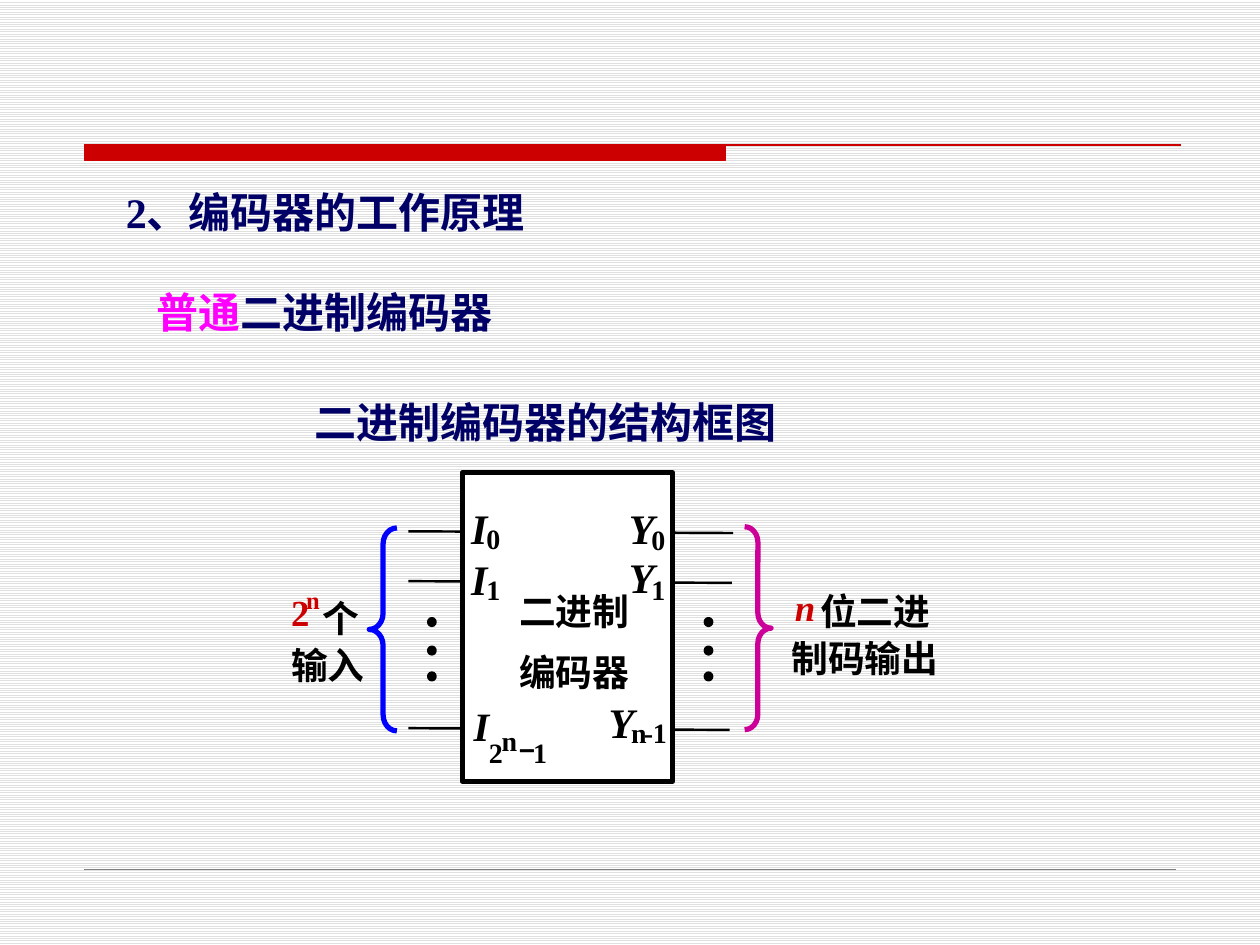
from dataclasses import dataclass

from lxml.etree import SubElement
from pptx import Presentation
from pptx.dml.color import RGBColor
from pptx.enum.dml import MSO_PATTERN
from pptx.enum.shapes import MSO_CONNECTOR, MSO_SHAPE
from pptx.oxml.ns import qn
from pptx.util import Pt


@dataclass(frozen=True)
class Theme:
    latin: str = "Times New Roman"
    cjk: str = "Noto Sans CJK SC"
    sans: str = "Arial"
    navy: str = "000066"
    magenta: str = "FF00FF"
    red: str = "CC0000"
    black: str = "000000"
    white: str = "FFFFFF"
    stripe: str = "E0E0E0"
    grey: str = "808080"
    blue: str = "0000FF"
    purple: str = "CC0099"
    heading: int = 24
    symbol: int = 24
    last_input: int = 23
    caption: int = 21
    subscript: int = 16
    exponent: int = 14
    leading: float = 1.2
    cjk_drop: float = 0.1


def add_run(paragraph, text, *, font, size, color, cjk, italic=False):
    run = paragraph.add_run()
    run.text = text
    run.font.name, run.font.size = font, Pt(size)
    run.font.bold, run.font.italic = True, italic
    run.font.color.rgb = RGBColor.from_string(color)
    SubElement(run.font._element, qn("a:ea")).set("typeface", cjk)


class Board:
    """Holds the theme and the current slide."""

    def __init__(self, slide, theme):
        self.slide, self.theme = slide, theme

    def background(self):
        fill = self.slide.background.fill
        fill.patterned()
        fill.pattern = MSO_PATTERN.LIGHT_HORIZONTAL
        fill.fore_color.rgb = RGBColor.from_string(self.theme.stripe)
        fill.back_color.rgb = RGBColor.from_string(self.theme.white)

    def shape(self, kind, left, top, width, height, *, fill=None, line, weight):
        shape = self.slide.shapes.add_shape(
            kind, Pt(left), Pt(top), Pt(width), Pt(height))
        shape.shadow.inherit = False
        if fill:
            shape.fill.solid()
            shape.fill.fore_color.rgb = RGBColor.from_string(fill)
        else:
            shape.fill.background()
        shape.line.color.rgb = RGBColor.from_string(line)
        shape.line.width = Pt(weight)
        return shape

    def line(self, x1, y1, x2, y2, *, color, weight):
        line = self.slide.shapes.add_connector(
            MSO_CONNECTOR.STRAIGHT, Pt(x1), Pt(y1), Pt(x2), Pt(y2))
        line.line.color.rgb = RGBColor.from_string(color)
        line.line.width = Pt(weight)
        SubElement(line._element.spPr, qn("a:effectLst"))

    def brace(self, kind, left, top, width, color):
        brace = self.shape(kind, left, top, width, 116, line=color, weight=3)
        brace.adjustments[0] = 0.58

    def text(self, left, top, width, parts, *, size, font=None, italic=False,
             inset=(0, 0), wrap=False):
        """Parts are (text, colour) pairs set on one line."""
        theme = self.theme
        font = font or theme.cjk
        side, edge = inset
        has_cjk = any(ord(char) > 0x3000 for text, _ in parts for char in text)
        height = size * theme.leading + 2 * edge
        frame = self.slide.shapes.add_textbox(
            Pt(left), Pt(top), Pt(width), Pt(height)).text_frame
        frame.word_wrap = wrap
        frame.margin_left = frame.margin_right = Pt(side)
        frame.margin_top = Pt(edge + (size * theme.cjk_drop if has_cjk else 0))
        frame.margin_bottom = Pt(0)
        paragraph = frame.paragraphs[0]
        if has_cjk:
            paragraph.line_spacing = Pt(size * theme.leading)
        for text, color in parts:
            add_run(paragraph, text, font=font, size=size, color=color,
                    cjk=theme.cjk, italic=italic)

    def heading(self, left, top, width, parts, **style):
        self.text(left, top, width, parts, size=self.theme.heading,
                  inset=(7.2, 3.6), **style)

    def label(self, left, top, width, text, size, color=None, **style):
        self.text(left, top, width, [(text, color or self.theme.black)],
                  size=size, **style)


def main():
    theme = Theme()
    deck = Presentation()
    deck.slide_width, deck.slide_height = Pt(720), Pt(540)
    board = Board(deck.slides.add_slide(deck.slide_layouts[6]), theme)

    # Background and rules
    board.background()
    board.shape(MSO_SHAPE.RECTANGLE, 48.2, 82.8, 366.5, 8.6,
                fill=theme.red, line=theme.red, weight=0.25)
    board.line(48.2, 82.8, 674.6, 82.8, color=theme.red, weight=0.75)
    board.line(48.2, 496.8, 671.8, 496.8, color=theme.grey, weight=0.25)

    # Headings
    board.heading(172.8, 220.3, 280, [("二进制编码器的结构框图", theme.navy)])
    board.heading(82.1, 157.7, 207.4,
                  [("普通", theme.magenta), ("二进制编码器", theme.navy)])
    board.heading(64.8, 100.8, 243.4, [("2、编码器的工作原理", theme.navy)],
                  font=theme.latin, wrap=True)

    # Wires run behind the encoder block
    for y, right in ((304, 419), (332.5, 418.3), (416.5, 416.9)):
        board.line(233.3, y - 0.4, right, y + 0.6, color=theme.black, weight=1.38)
    board.shape(MSO_SHAPE.RECTANGLE, 264.2, 270, 120.2, 176.4,
                fill=theme.white, line=theme.black, weight=2.88)

    # Pin symbols: letter, left, top, size, then subscripts (text, left, top)
    pins = (
        ("I", 269.3, 287.3, theme.symbol, [("0", 277.9, 298.1)]),
        ("I", 269.3, 316.1, theme.symbol, [("1", 277.9, 326.9)]),
        ("I", 270.7, 401, theme.last_input,
         [("2", 279.4, 420.5), ("n", 286.6, 413.3),
          ("−", 296.6, 418.3), ("1", 304.6, 420.5)]),
        ("Y", 359.3, 287.3, theme.symbol, [("0", 372.2, 298.8)]),
        ("Y", 359.3, 315.4, theme.symbol, [("1", 372.2, 326.9)]),
        ("Y", 347.8, 398.2, theme.symbol,
         [("n", 360.7, 409), ("-", 367.9, 409), ("1", 373, 409)]),
    )
    widths = {"I": 9.4, "Y": 14.7, "n": 8.9, "-": 5.3, "−": 9.3}
    for letter, left, top, size, subscripts in pins:
        board.label(left, top, widths[letter], letter, size,
                    font=theme.latin, italic=True)
        for mark, mark_left, mark_top in subscripts:
            board.label(mark_left, mark_top, widths.get(mark, 8), mark,
                        theme.subscript,
                        font=theme.sans if mark == "−" else theme.latin)

    # Block name
    for name, top in (("二进制", 334.1), ("编码器", 369.4)):
        board.label(296.6, top, 63.4, name, theme.caption)

    # Ellipsis dots on both sides
    for x in (244.9, 403):
        for y in (353.5, 369.8, 384.6):
            board.shape(MSO_SHAPE.OVAL, x, y, 3.7, 3.9, fill=theme.black,
                        line=theme.black, weight=1.88)

    # Input side
    board.brace(MSO_SHAPE.LEFT_BRACE, 211, 301.7, 15.8, theme.blue)
    board.label(166.3, 337, 10.8, "2", theme.caption, theme.red, font=theme.latin)
    board.label(175, 334.1, 7.9, "n", theme.exponent, theme.red, font=theme.latin)
    board.label(184.3, 338.4, 21, "个", theme.caption)
    board.label(166.3, 365, 42.5, "输入", theme.caption)

    # Output side
    board.brace(MSO_SHAPE.RIGHT_BRACE, 425.5, 301, 15.1, theme.purple)
    board.label(454.3, 334.1, 11.5, "n", theme.caption, theme.red,
                font=theme.latin, italic=True)
    board.label(468.7, 334.1, 63.4, "位二进", theme.caption)
    board.label(452.2, 361.4, 84.2, "制码输出", theme.caption)

    deck.save("out.pptx")


if __name__ == "__main__":
    main()
